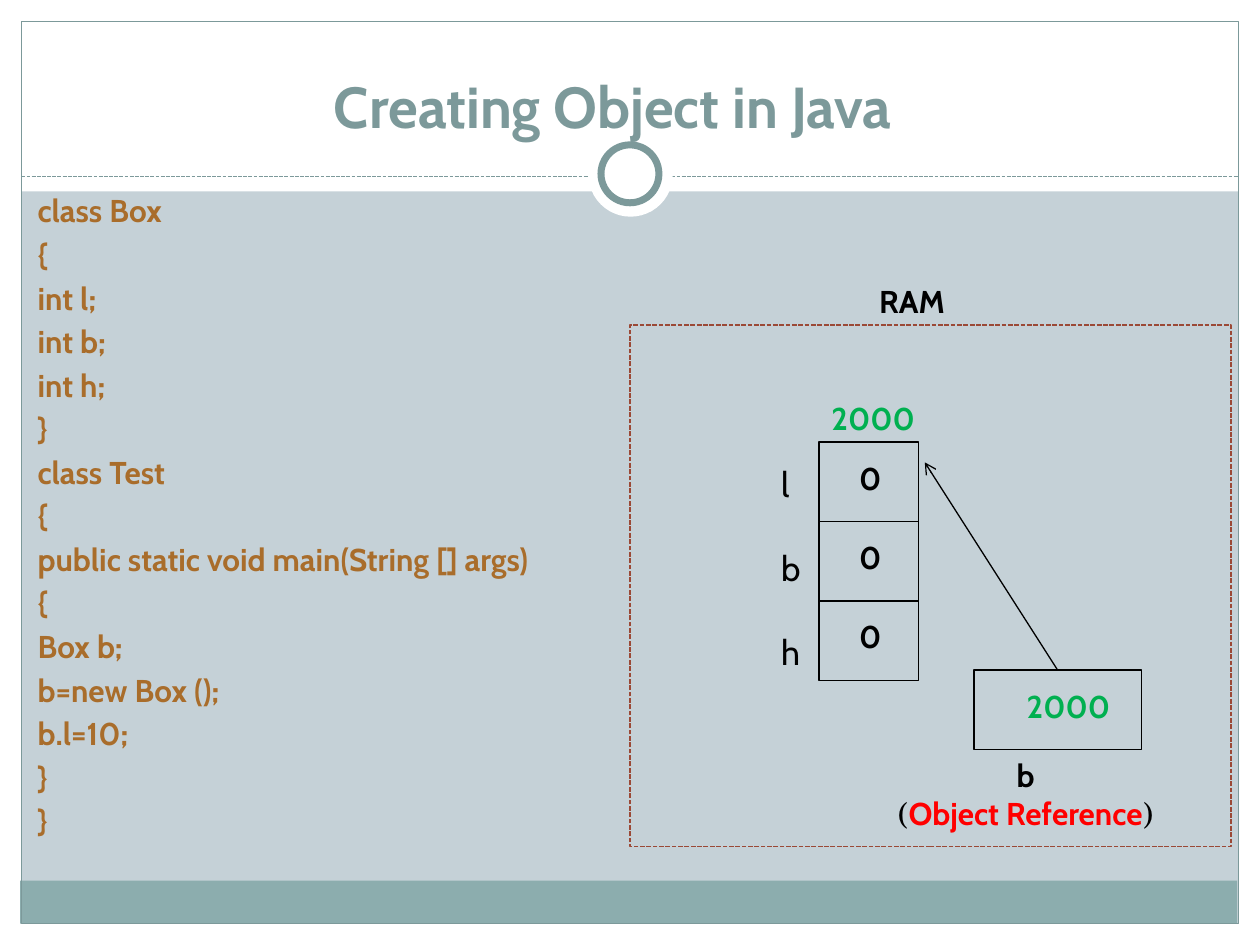
"""Build the slide on creating an object in Java."""
import lxml.etree
import pptx
import pptx.dml.color
import pptx.enum.dml
import pptx.enum.shapes
import pptx.enum.text
import pptx.oxml.ns
import pptx.util

Inches, Pt = pptx.util.Inches, pptx.util.Pt
SHAPE = pptx.enum.shapes.MSO_SHAPE
ALIGN = pptx.enum.text.PP_ALIGN
ANCHOR = pptx.enum.text.MSO_ANCHOR
DASH = pptx.enum.dml.MSO_LINE.SQUARE_DOT

COLORS = {"back": "C5D1D7", "white": "FFFFFF", "band": "8CADAE", "teal": "7C999A",
          "code": "A96D2B", "black": "000000", "green": "00B050", "red": "FF0000",
          "ram": "9B4936"}
TITLE = "Creating Object in Java"
CODE = ["class Box", "{", "int l;", "int b;", "int h;", "}", "class Test", "{",
        "public static void main(String [] args)", "{", "Box b;", "b=new Box ();",
        "b.l=10;", "}", "}"]
FIELDS = [("l", "0"), ("b", "0"), ("h", "0")]
ADDRESS = "2000"
BANDS = [(0, 7.33, 10, 0.17, "white"), (0, 0, 10, 1.52, "white"),
         (0, 0, 0.17, 7.5, "white"), (9.83, 0, 0.17, 7.5, "white"),
         (0.16, 6.99, 9.66, 0.34, "band")]
CELL_LEFT, CELL_TOP, CELL_W, CELL_H = 6.5, 3.51, 0.79, 0.63

BOLD = {"size": Pt(18), "name": "Cabin", "bold": True}
PLAIN = {"size": Pt(20), "name": "Cabin", "bold": False}
SERIF = {"size": Pt(18), "name": "TeX Gyre Schola", "bold": False}
HEADING = {"size": Pt(33), "name": "Cabin", "bold": True}


def rgb(color):
    return pptx.dml.color.RGBColor.from_string(COLORS[color])


def add_element(parent, tag, **attributes):
    lxml.etree.SubElement(parent, pptx.oxml.ns.qn(tag), **attributes)


def set_line(line, color, width, dash=None):
    line.color.rgb = rgb(color)
    line.width = Pt(width)
    if dash:
        line.dash_style = dash


def add_box(s, box, fill=None, line=None, width=0.9, dash=None, kind=SHAPE.RECTANGLE):
    sp = s.shapes.add_shape(kind, *map(Inches, box))
    sp.shadow.inherit = False
    if fill:
        sp.fill.solid()
        sp.fill.fore_color.rgb = rgb(fill)
    else:
        sp.fill.background()
    if line:
        set_line(sp.line, line, width, dash)
    else:
        sp.line.fill.background()
    return sp


def add_line(s, start, end, color, dash=None):
    sp = s.shapes.add_connector(pptx.enum.shapes.MSO_CONNECTOR.STRAIGHT,
                                *map(Inches, start + end))
    set_line(sp.line, color, 0.75, dash)
    add_element(sp._element.spPr, "a:effectLst")
    return sp


def fill_text(tf, paragraphs, align=ALIGN.LEFT, gap=0):
    for i, runs in enumerate(paragraphs):
        p = tf.paragraphs[0] if i == 0 else tf.add_paragraph()
        p.alignment = align
        if i:
            p.space_before = Pt(gap)
        for text, style, color in runs:
            r = p.add_run()
            r.text = text
            for name, value in style.items():
                setattr(r.font, name, value)
            r.font.color.rgb = rgb(color)


def add_text(s, box, paragraphs, align=ALIGN.LEFT, gap=0, wrap=True):
    tf = s.shapes.add_textbox(*map(Inches, box)).text_frame
    tf.word_wrap = wrap
    fill_text(tf, paragraphs, align, gap)


def add_frame(s):
    for *box, color in BANDS:
        add_box(s, box, color)
    add_box(s, (0.17, 0.17, 9.66, 7.16), line="teal", width=0.75)
    add_line(s, (0.17, 1.4), (9.83, 1.4), "teal", DASH)
    add_box(s, (4.67, 1.05, 0.67, 0.67), "white", kind=SHAPE.OVAL)
    add_box(s, (4.77, 1.15, 0.46, 0.46), "white", "teal", 4, kind=SHAPE.OVAL)


def add_title(s):
    sp = s.shapes.title
    sp.left, sp.top, sp.width, sp.height = map(Inches, (0.2, 0.29, 9.33, 0.87))
    sp.text_frame.vertical_anchor = ANCHOR.BOTTOM
    fill_text(sp.text_frame, [[(TITLE, HEADING, "teal")]], ALIGN.CENTER)
    s.shapes._spTree.append(sp._element)


def add_memory(s):
    add_box(s, (5, 2.58, 4.77, 4.14), line="ram", dash=DASH)
    add_text(s, (6.88, 2.19, 0.73, 0.4), [[("RAM", BOLD, "black")]], wrap=False)
    add_text(s, (6.5, 3.12, 1.08, 0.4), [[(ADDRESS, BOLD, "green")]])
    for i, (_, value) in enumerate(FIELDS):
        top = CELL_TOP + i * CELL_H
        add_box(s, (CELL_LEFT, top, CELL_W, CELL_H), line="black")
        add_text(s, (6.72, top + 0.08, 0.33, 0.4), [[(value, BOLD, "black")]], wrap=False)
    add_text(s, (6.1, 3.62, 0.39, 1.78),
             [[(name, PLAIN, "black")] for name, _ in FIELDS], gap=24)


def add_reference(s):
    box = add_box(s, (7.73, 5.32, 1.33, 0.63), line="black")
    add_text(s, (8.05, 5.4, 0.94, 0.4), [[(ADDRESS, BOLD, "green")]])
    add_text(s, (6.48, 5.95, 3.32, 0.71),
             [[("b", BOLD, "black")],
              [("(", SERIF, "black"), ("Object Reference", BOLD, "red"),
               (")", SERIF, "black")]], ALIGN.CENTER)
    arrow = add_line(s, (8.4, 5.32), (7.34, 3.67), "black")
    arrow.begin_connect(box, 0)
    add_element(arrow._element.spPr.find(pptx.oxml.ns.qn("a:ln")), "a:tailEnd", type="arrow")


def main():
    prs = pptx.Presentation()
    prs.slide_width, prs.slide_height = Inches(10), Inches(7.5)
    s = prs.slides.add_slide(prs.slide_layouts[5])
    s.background.fill.solid()
    s.background.fill.fore_color.rgb = rgb("back")
    add_frame(s)
    add_title(s)
    add_text(s, (0.2, 1.47, 9.61, 5.95), [[(line, BOLD, "code")] for line in CODE], gap=3.3)
    add_memory(s)
    add_reference(s)
    prs.save("out.pptx")


if __name__ == "__main__":
    main()
